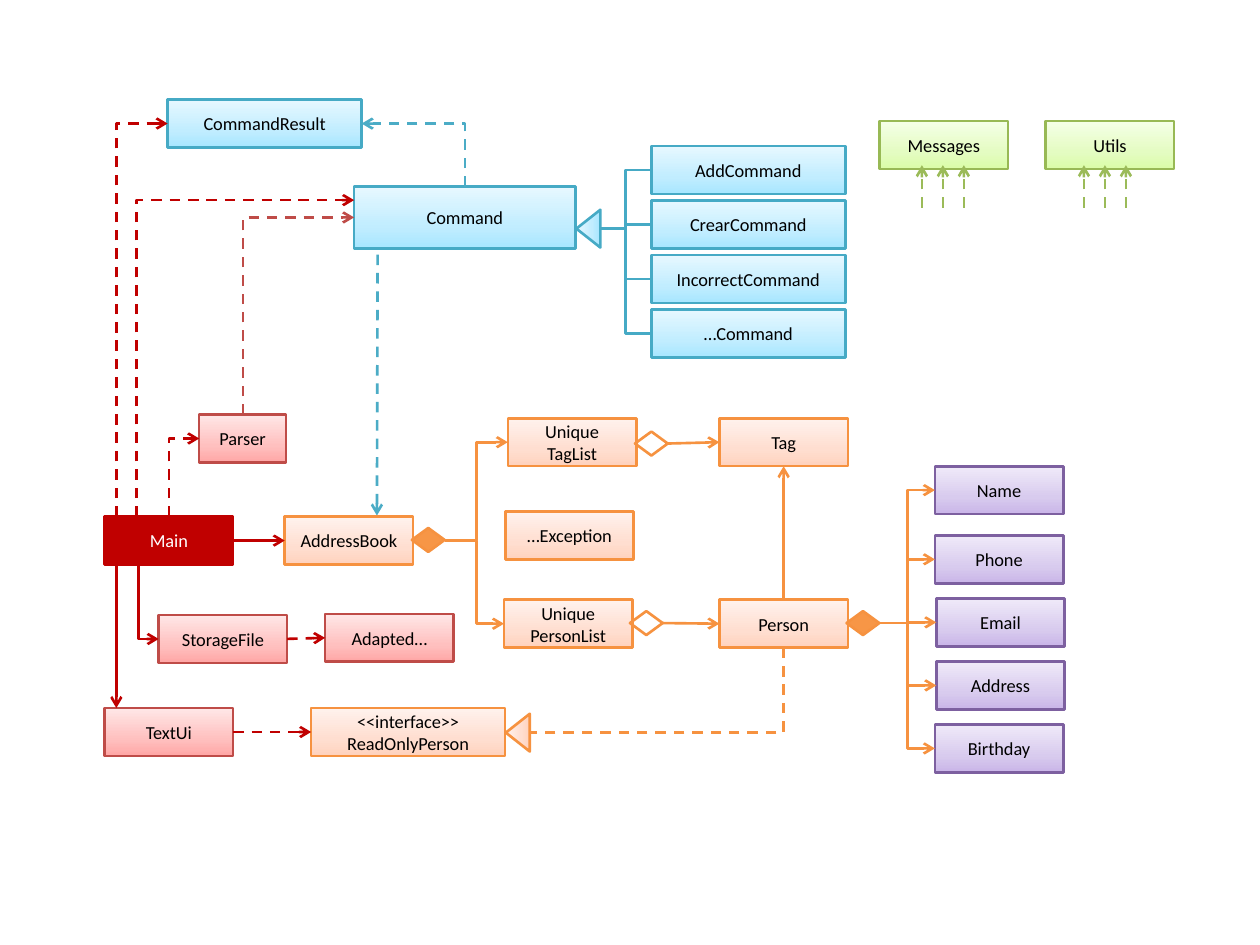
"""Build the class diagram slide of an address book application."""
from copy import deepcopy

from lxml import etree
from pptx import Presentation
from pptx.dml.color import RGBColor
from pptx.enum import dml, shapes, text
from pptx.oxml import ns
from pptx.util import Pt

COLORS = {
    "main": "C00000", "red": "BF4C48", "orange": "F69240", "blue": "46AAC5",
    "green": "98B955", "purple": "7D60A0", "diamond": "F79646",
    "blue_dash": "4BACC6", "green_dash": "9BBB59",
    "black": "000000", "white": "FFFFFF",
}
GRADIENTS = {
    "red": ("FFA6A5", "FFC0BF", "FFE7E7"),
    "orange": ("FFD2BD", "FFDED0", "FFF2ED"),
    "blue": ("A7E6FF", "C1EDFF", "E7F8FF"),
    "green": ("DAFDA7", "E4FCC2", "F5FFE7"),
    "purple": ("C9B5E8", "D8CBEE", "F0EAF9"),
}
BOX_W, BOX_H, WIDE_W = 73.4, 27.4, 110.9
LINE_W = 1.5
SHAPE = shapes.MSO_SHAPE
TOP, LEFT, BOTTOM, RIGHT = range(4)


def rgb(name):
    return RGBColor.from_string(COLORS[name])


def fill_gradient(sp, hexes):
    sp.fill.gradient()
    sp.fill.gradient_angle = 90
    gs_lst = sp._element.spPr.find(".//" + ns.qn("a:gsLst"))
    gs_lst.append(deepcopy(gs_lst[0]))
    for stop, pos, value in zip(sp.fill.gradient_stops, (0, 0.35, 1), hexes):
        stop.position = pos
        stop.color.rgb = RGBColor.from_string(value)


def add_outlined(s, kind, x, y, w, h, color):
    sp = s.shapes.add_shape(kind, Pt(x), Pt(y), Pt(w), Pt(h))
    sp.shadow.inherit = False
    sp.line.color.rgb = rgb(color)
    sp.line.width = Pt(LINE_W)
    return sp


def add_box(s, label, x, y, color, w=BOX_W, h=BOX_H):
    sp = add_outlined(s, SHAPE.RECTANGLE, x, y, w, h, color)
    if color in GRADIENTS:
        fill_gradient(sp, GRADIENTS[color])
    else:
        sp.fill.solid()
        sp.fill.fore_color.rgb = rgb(color)
    tf = sp.text_frame
    tf.text = label
    tf.vertical_anchor = text.MSO_ANCHOR.MIDDLE
    for p in tf.paragraphs:
        p.alignment = text.PP_ALIGN.CENTER
        p.font.name = "Calibri"
        p.font.size = Pt(10.5)
        p.font.color.rgb = rgb("black" if color in GRADIENTS else "white")
    return sp


def add_diamond(s, x, y, filled):
    sp = add_outlined(s, SHAPE.FLOWCHART_DECISION, x, y, 18.7, 13.7, "orange")
    if filled:
        sp.fill.solid()
        sp.fill.fore_color.rgb = rgb("diamond")
    else:
        sp.fill.background()
    return sp


def add_triangle(s, x, y, color):
    sp = add_outlined(s, SHAPE.ISOSCELES_TRIANGLE, x, y, 21.6, 13.7, color)
    sp.rotation = 270
    fill_gradient(sp, GRADIENTS[color])


def style_line(cn, color, dash, arrow):
    cn.line.color.rgb = rgb(color)
    cn.line.width = Pt(LINE_W)
    if dash:
        cn.line.dash_style = dml.MSO_LINE.DASH
    sp_pr = cn._element.spPr
    if arrow:
        ln = sp_pr.find(ns.qn("a:ln"))
        etree.SubElement(ln, ns.qn("a:tailEnd"), type="arrow")
    etree.SubElement(sp_pr, ns.qn("a:effectLst"))


def add_connector(s, kind, x1, y1, x2, y2):
    return s.shapes.add_connector(kind, Pt(x1), Pt(y1), Pt(x2), Pt(y2))


def add_straight(s, x1, y1, x2, y2, color, dash=False):
    cn = add_connector(s, shapes.MSO_CONNECTOR.STRAIGHT, x1, y1, x2, y2)
    style_line(cn, color, dash, True)


def join(s, start, side1, end, side2, color, dash=False):
    cn = add_connector(s, shapes.MSO_CONNECTOR.STRAIGHT, 0, 0, 0, 0)
    cn.begin_connect(start, side1)
    cn.end_connect(end, side2)
    style_line(cn, color, dash, True)


def add_branch(s, x1, y1, bend, x2, y2, color, arrow=True):
    cn = add_connector(s, shapes.MSO_CONNECTOR.ELBOW, x1, y1, x2, y2)
    av_lst = cn._element.spPr.find(".//" + ns.qn("a:avLst"))
    share = round((bend - x1) / (x2 - x1) * 100000)
    etree.SubElement(av_lst, ns.qn("a:gd"), name="adj1", fmla=f"val {share}")
    style_line(cn, color, False, arrow)


def add_corner(s, x1, y1, x2, y2, color, dash=True, arrow=True):
    cx, cy, dx, dy = (x1 + x2) / 2, (y1 + y2) / 2, (x2 - x1) / 2, (y2 - y1) / 2
    cn = add_connector(s, shapes.MSO_CONNECTOR.ELBOW,
                       cx - dy, cy + dx, cx + dy, cy - dx)
    sp_pr = cn._element.spPr
    sp_pr.find(ns.qn("a:xfrm")).set("rot", "5400000")
    sp_pr.find(ns.qn("a:prstGeom")).set("prst", "bentConnector2")
    style_line(cn, color, dash, arrow)


def add_logic(s):
    add_box(s, "CommandResult", 95.8, 56.9, "blue", WIDE_W)
    add_box(s, "Command", 202.3, 106.6, "blue", 126.7, 35.3)
    add_triangle(s, 325.4, 123.8, "blue")
    names = ("AddCommand", "CrearCommand", "IncorrectCommand", "…Command")
    for i, name in enumerate(names):
        y = 83.5 + 31.1 * i
        add_box(s, name, 372.2, y, "blue", WIDE_W)
        add_branch(s, 343, 130.6, 357.5, 372.2, y + BOX_H / 2, "blue", False)
    add_corner(s, 265.7, 106.6, 206.7, 70.6, "blue_dash")
    add_straight(s, 215.8, 145.5, 215.4, 294.6, "blue_dash", True)


def add_helpers(s):
    for name, x, first in (("Messages", 502.6, 526.8), ("Utils", 597.6, 619.4)):
        add_box(s, name, x, 69.1, "green")
        for i in range(3):
            arrow_x = first + 12 * i
            add_straight(s, arrow_x, 118.8, arrow_x, 94.4, "green_dash", True)


def add_model(s):
    book = add_box(s, "AddressBook", 162.7, 295.2, "orange")
    add_box(s, "Unique\vTagList", 290.2, 239, "orange")
    add_box(s, "…Exception", 288.7, 292.3, "orange")
    add_box(s, "Unique\vPersonList", 288, 342.7, "orange")
    tag = add_box(s, "Tag", 411.1, 239, "orange")
    person = add_box(s, "Person", 411.1, 342.7, "orange")
    view = add_box(s, "<<interface>>\nReadOnlyPerson", 177.8, 404.6, "orange", WIDE_W)
    add_diamond(s, 235.4, 301.7, True)
    add_diamond(s, 483.8, 349.2, True)
    for x, y, target in ((362.9, 246.6, tag), (360, 349.2, person)):
        join(s, add_diamond(s, x, y, False), RIGHT, target, LEFT, "orange")
    join(s, person, TOP, tag, BOTTOM, "orange")
    for x, y in ((290.2, 252.7), (288, 356.4)):
        add_branch(s, 254.2, 308.7, 272.2, x, y, "orange")
    add_triangle(s, 285.1, 411.8, "orange")
    add_corner(s, 447.8, 370.1, 302.6, 418.5, "orange", arrow=False)
    details = (("Name", 534.2, 266.4), ("Phone", 534.2, 306), ("Email", 535, 342),
               ("Address", 535, 378), ("Birthday", 534.2, 414))
    for name, x, y in details:
        add_box(s, name, x, y, "purple")
        add_branch(s, 502.6, 356.1, 518.4, x, y + BOX_H / 2, "orange")
    return book, view


def add_main_flow(s, book, view):
    main_box = add_box(s, "Main", 59.8, 295.2, "main")
    add_box(s, "Parser", 113.8, 236.9, "red", 49.7)
    storage = add_box(s, "StorageFile", 90.7, 351.4, "red")
    adapted = add_box(s, "Adapted…", 185.8, 350.8, "red")
    ui = add_box(s, "TextUi", 59.8, 404.6, "red")
    join(s, main_box, RIGHT, book, LEFT, "main")
    join(s, storage, RIGHT, adapted, LEFT, "main", True)
    join(s, ui, RIGHT, view, LEFT, "main", True)
    add_straight(s, 66.5, 322.6, 66.5, 404.6, "main")
    add_corner(s, 79.2, 322.6, 90.7, 365.1, "main", dash=False)
    for x, end_x, end_y in ((66.5, 95.8, 70.6), (77.9, 202.3, 114.4),
                            (96.6, 113.8, 250.6)):
        add_corner(s, x, 295.2, end_x, end_y, "main")
    add_corner(s, 138.9, 236.9, 202.3, 124.3, "red")


def main():
    prs = Presentation()
    prs.slide_width, prs.slide_height = Pt(720), Pt(540)
    s = prs.slides.add_slide(prs.slide_layouts[6])
    add_logic(s)
    add_helpers(s)
    book, view = add_model(s)
    add_main_flow(s, book, view)
    prs.save("out.pptx")


if __name__ == "__main__":
    main()
